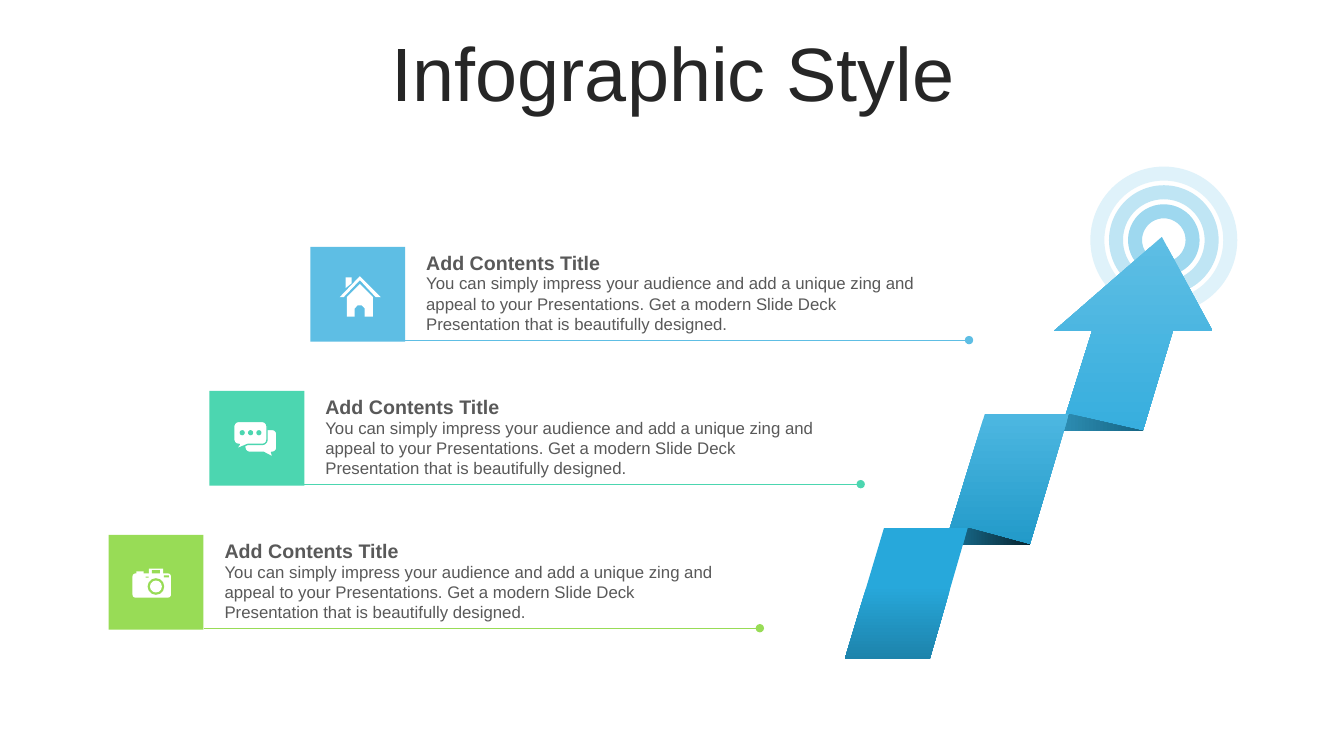
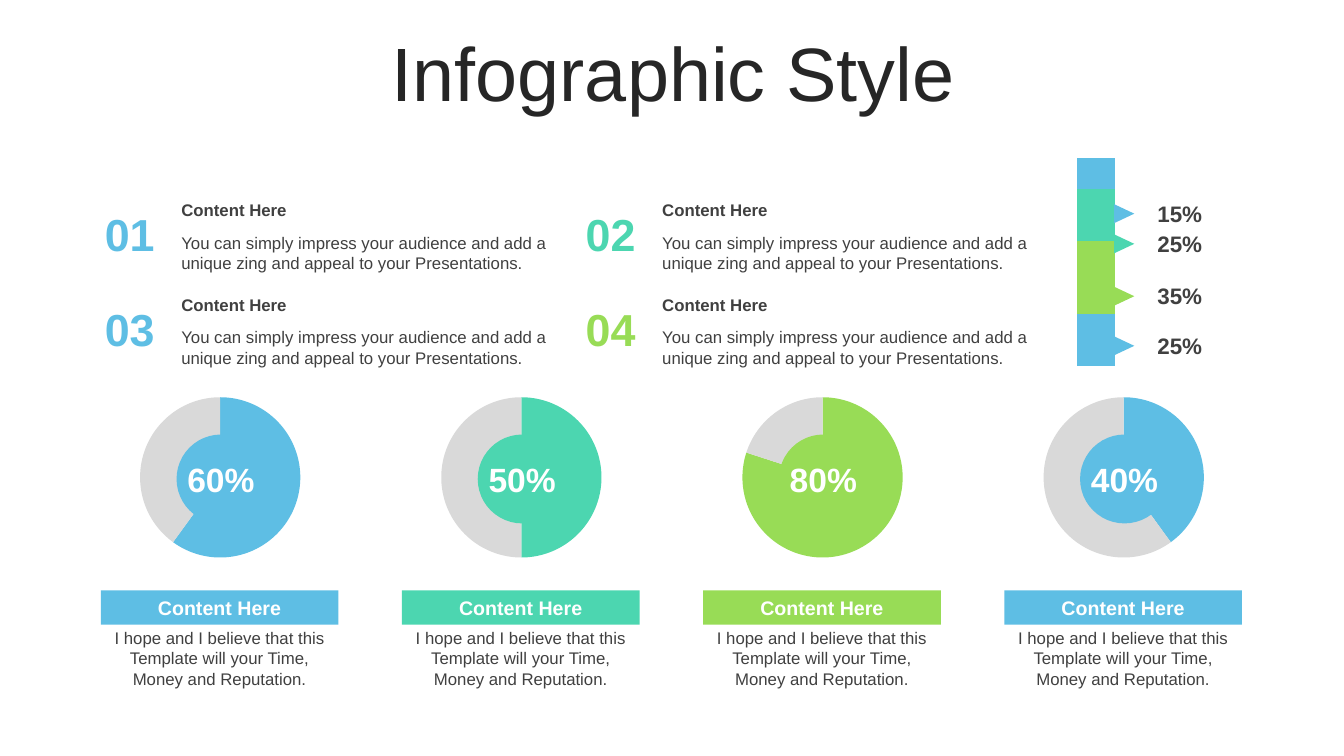
from collections.abc import Callable, Sequence
from dataclasses import dataclass
from typing import NamedTuple

from lxml.etree import SubElement
from pptx import Presentation
from pptx.chart.chart import Chart
from pptx.chart.data import CategoryChartData
from pptx.dml.color import RGBColor
from pptx.enum.chart import XL_CHART_TYPE as ChartType
from pptx.enum.shapes import MSO_CONNECTOR as Connector, MSO_SHAPE as Preset
from pptx.enum.text import MSO_ANCHOR as Anchor, MSO_AUTO_SIZE as AutoSize, PP_ALIGN as Align
from pptx.oxml.ns import qn
from pptx.shapes.autoshape import Shape
from pptx.slide import Slide
from pptx.util import Cm, Pt


def rgb(code: str) -> RGBColor:
    return RGBColor.from_string(code)


@dataclass(frozen=True)
class Theme:
    font: str = "Arial"
    blue: RGBColor = rgb("5EBEE4")
    teal: RGBColor = rgb("4CD6B0")
    green: RGBColor = rgb("98DC56")
    white: RGBColor = rgb("FFFFFF")
    rest: RGBColor = rgb("D9D9D9")
    black: RGBColor = rgb("000000")
    ink: RGBColor = rgb("262626")
    dark: RGBColor = rgb("404040")
    gray: RGBColor = rgb("595959")
    title: int = 54
    number: int = 32
    value: int = 24
    chart: int = 18
    percent: int = 16
    heading: int = 14
    body: int = 12


THEME = Theme()


class Box(NamedTuple):
    """A frame in centimetres."""
    left: float
    top: float
    width: float
    height: float

    def lengths(self) -> tuple[Cm, ...]:
        return tuple(Cm(length) for length in self)


@dataclass(frozen=True)
class TextStyle:
    size: int
    color: RGBColor
    bold: bool = False
    align: Align = Align.LEFT
    anchor: Anchor = Anchor.TOP


Point = tuple[float, float]
IconPainter = Callable[[Slide, float, float, RGBColor], None]


class Step(NamedTuple):
    color: RGBColor
    line_end: float
    icon: IconPainter


class Ribbon(NamedTuple):
    outline: list[Point]
    start: str
    end: str
    angle: int
    start_at: float = 0


class Share(NamedTuple):
    value: int
    percent: str
    color: RGBColor
    marker_top: float


class Gauge(NamedTuple):
    percent: int
    color: RGBColor


def write(shape: Shape, text: str, style: TextStyle) -> None:
    frame = shape.text_frame
    frame.text = text
    frame.vertical_anchor = style.anchor
    paragraph = frame.paragraphs[0]
    paragraph.alignment = style.align
    font = paragraph.font
    font.name, font.size, font.bold = THEME.font, Pt(style.size), style.bold
    font.color.rgb = style.color


def add_text(slide: Slide, box: Box, text: str, style: TextStyle) -> None:
    label = slide.shapes.add_textbox(*box.lengths())
    label.text_frame.word_wrap = True
    write(label, text, style)


def add_preset(slide: Slide, preset: Preset, box: Box, color: RGBColor) -> Shape:
    shape = slide.shapes.add_shape(preset, *box.lengths())
    shape.shadow.inherit = False
    shape.fill.solid()
    shape.fill.fore_color.rgb = color
    shape.line.fill.background()
    return shape


def add_outline(slide: Slide, contours: Sequence[Sequence[Point]]) -> Shape:
    """Draw closed polygons, given in centimetres, as one borderless shape."""
    paths = [[(Cm(x), Cm(y)) for x, y in contour] for contour in contours]
    builder = slide.shapes.build_freeform(*paths[0][0])
    for index, path in enumerate(paths):
        if index:
            builder.move_to(*path[0])
        builder.add_line_segments(path[1:], close=True)
    shape = builder.convert_to_shape()
    shape.shadow.inherit = False
    shape.line.fill.background()
    return shape


def add_titled_slide(prs: Presentation, title: str) -> Slide:
    slide = prs.slides.add_slide(prs.slide_layouts[5])
    heading = slide.shapes.title
    heading.left, heading.top, heading.width, heading.height = Box(0.89, 0.94, 32.16, 2).lengths()
    write(heading, title, TextStyle(THEME.title, THEME.ink, align=Align.CENTER, anchor=Anchor.MIDDLE))
    heading.text_frame.auto_size = AutoSize.NONE
    heading.text_frame.paragraphs[0].line_spacing = 0.9
    return slide


def paint_house(slide: Slide, left: float, top: float, background: RGBColor) -> None:
    walls = [(1.25, 0.94), (1.58, 1.27), (1.58, 1.76), (1.37, 1.76), (1.37, 1.55), (1.3, 1.48),
             (1.19, 1.48), (1.12, 1.55), (1.12, 1.76), (0.92, 1.76), (0.92, 1.27)]
    roof = [(1.25, 0.74), (1.78, 1.27), (1.65, 1.27), (1.25, 0.84), (0.84, 1.27), (0.74, 1.27)]
    chimney = [(0.89, 0.77), (1.04, 0.77), (1.04, 0.92), (0.89, 1.04)]
    house = add_outline(slide, [[(left + x, top + y) for x, y in part] for part in (walls, roof, chimney)])
    house.fill.solid()
    house.fill.fore_color.rgb = THEME.white


def paint_chat(slide: Slide, left: float, top: float, background: RGBColor) -> None:
    bubbles = [(Box(left + 0.89, top + 0.97, 0.81, 0.58), 0.38),
               (Box(left + 0.61, top + 0.77, 0.84, 0.58), -0.44)]
    for box, tail in bubbles:
        bubble = add_preset(slide, Preset.ROUNDED_RECTANGULAR_CALLOUT, box, THEME.white)
        bubble.adjustments[0], bubble.adjustments[1], bubble.adjustments[2] = tail, 0.72, 0.2
        bubble.line.color.rgb = background
        bubble.line.width = Pt(1)
    for index in range(3):
        dot = Box(left + 0.76 + 0.21 * index, top + 0.99, 0.13, 0.13)
        add_preset(slide, Preset.OVAL, dot, background)


def paint_camera(slide: Slide, left: float, top: float, background: RGBColor) -> None:
    parts = [
        (Preset.ROUNDED_RECTANGLE, Box(0.6, 0.97, 0.97, 0.61), THEME.white),
        (Preset.RECTANGLE, Box(1.01, 0.85, 0.36, 0.15), THEME.white),
        (Preset.RECTANGLE, Box(1.09, 0.89, 0.2, 0.08), background),
        (Preset.RECTANGLE, Box(0.7, 0.92, 0.18, 0.08), THEME.white),
        (Preset.RECTANGLE, Box(0.93, 1.05, 0.08, 0.03), background),
        (Preset.RECTANGLE, Box(1.39, 1.02, 0.13, 0.05), background),
        (Preset.OVAL, Box(0.98, 1.09, 0.42, 0.42), background),
        (Preset.OVAL, Box(1.04, 1.15, 0.3, 0.3), THEME.white),
    ]
    for preset, box, color in parts:
        place = box._replace(left=left + box.left, top=top + box.top)
        part = add_preset(slide, preset, place, color)
        if preset == Preset.ROUNDED_RECTANGLE:
            part.adjustments[0] = 0.12


def add_dotted_end_line(slide: Slide, start: float, end: float, y: float, color: RGBColor) -> None:
    rule = slide.shapes.add_connector(Connector.STRAIGHT, Cm(start), Cm(y), Cm(end), Cm(y))
    rule.line.color.rgb = color
    rule.line.width = Pt(0.5)
    properties = rule.element.spPr
    SubElement(properties.find(qn("a:ln")), qn("a:tailEnd"), type="oval")
    SubElement(properties, qn("a:effectLst"))


def add_step(slide: Slide, index: int, step: Step) -> None:
    side = 2.39
    left, top = 7.82 - 2.54 * index, 6.22 + 3.63 * index
    add_dotted_end_line(slide, left + side, step.line_end, top + 2.35, step.color)
    add_text(slide, Box(left + 2.67, top + 0.54, 12.95, 1.8),
             "You can simply impress your audience and add a unique zing and appeal to your "
             "Presentations. Get a modern Slide Deck Presentation that is beautifully designed.",
             TextStyle(THEME.body, THEME.gray))
    add_text(slide, Box(left + 2.67, top - 0.02, 12.95, 0.86), "Add Contents Title",
             TextStyle(THEME.heading, THEME.gray, bold=True))
    add_preset(slide, Preset.RECTANGLE, Box(left, top, side, side), step.color)
    step.icon(slide, left, top, step.color)


def add_target(slide: Slide) -> None:
    for diameter, color in ((3.35, "DFF2FA"), (2.41, "BFE5F4"), (1.45, "9ED8EF")):
        box = Box(29.33 - diameter / 2, 6.05 - diameter / 2, diameter, diameter)
        ring = add_preset(slide, Preset.OVAL, box, THEME.white)
        ring.fill.background()
        ring.line.color.rgb = rgb(color)
        ring.line.width = Pt(10)


def add_ribbon(slide: Slide, ribbon: Ribbon) -> None:
    fill = add_outline(slide, [ribbon.outline]).fill
    fill.gradient()
    fill.gradient_angle = ribbon.angle
    first, last = fill.gradient_stops
    first.color.rgb, first.position = rgb(ribbon.start), ribbon.start_at
    last.color.rgb = rgb(ribbon.end)


def build_arrow_slide(prs: Presentation) -> None:
    slide = add_titled_slide(prs, "Infographic Style")
    add_target(slide)
    down, across = 270, 0
    ribbons = [
        Ribbon([(29.28, 5.97), (30.56, 8.34), (29.56, 8.34), (28.8, 10.86), (26.73, 10.86),
                (27.52, 8.34), (26.56, 8.34)], "5EBEE4", "37AEDE", down),
        Ribbon([(26.94, 10.43), (28.8, 10.86), (26.81, 10.86)], "2C8CB1", "166584", across),
        Ribbon([(24.82, 10.43), (26.94, 10.43), (25.95, 13.73), (23.81, 13.73)],
               "4DB7E1", "229AC9", down),
        Ribbon([(24.39, 13.3), (25.95, 13.73), (24.27, 13.73)], "166483", "08242F", across),
        Ribbon([(22.28, 13.3), (24.39, 13.3), (23.43, 16.61), (21.29, 16.61)],
               "27A8DB", "1D83AB", down, 0.44),
    ]
    for ribbon in ribbons:
        add_ribbon(slide, ribbon)
    steps = [Step(THEME.blue, 24.42, paint_house), Step(THEME.teal, 21.69, paint_chat),
             Step(THEME.green, 19.15, paint_camera)]
    for index, step in enumerate(steps):
        add_step(slide, index, step)


def add_plain_chart(slide: Slide, kind: ChartType, box: Box, data: CategoryChartData, plot: Box) -> Chart:
    """Add a chart without title or legend; plot holds fractions of its frame."""
    chart = slide.shapes.add_chart(kind, *box.lengths(), data).chart
    chart.has_title = chart.has_legend = False
    chart.font.name, chart.font.size = THEME.font, Pt(THEME.chart)
    chart.font.color.rgb = THEME.black
    area = chart.element.find(".//" + qn("c:plotArea"))
    layout = area.find(qn("c:layout"))
    if layout is None:
        layout = SubElement(area, qn("c:layout"))
        area.insert(0, layout)
    manual = SubElement(layout, qn("c:manualLayout"))
    settings = {"layoutTarget": "inner", "xMode": "edge", "yMode": "edge",
                "x": plot.left, "y": plot.top, "w": plot.width, "h": plot.height}
    for tag, setting in settings.items():
        SubElement(manual, qn(f"c:{tag}"), val=str(setting))
    return chart


def add_share_column(slide: Slide, shares: Sequence[Share]) -> None:
    data = CategoryChartData()
    data.categories = ["1"]
    for number, share in enumerate(shares, 1):
        data.add_series(f"Series {number}", [share.value])
    chart = add_plain_chart(slide, ChartType.COLUMN_STACKED, Box(26.19, 2.77, 2.84, 6.58), data,
                            Box(0.05, 0.03, 0.91, 0.95))
    plot = chart.plots[0]
    plot.gap_width, plot.overlap, plot.vary_by_categories = 170, 100, False
    axis = chart.value_axis
    axis.has_major_gridlines = False
    axis.minimum_scale, axis.maximum_scale = 0, 340
    axis.visible = chart.category_axis.visible = False
    percent_style = TextStyle(THEME.percent, THEME.dark, bold=True, align=Align.CENTER)
    for series, share in zip(plot.series, shares):
        series.format.fill.solid()
        series.format.fill.fore_color.rgb = share.color
        marker = Box(28.09, share.marker_top, 0.48, 0.51)
        add_preset(slide, Preset.ISOSCELES_TRIANGLE, marker, share.color).rotation = 90
        add_text(slide, Box(28.6, share.marker_top - 0.22, 2.26, 0.94), share.percent, percent_style)


def add_numbered_point(slide: Slide, index: int, color: RGBColor) -> None:
    row, column = divmod(index, 2)
    left, top = 2.24 + 12.12 * column, 4.9 + 2.39 * row
    add_text(slide, Box(left, top + 0.18, 2.06, 1.63), f"{index + 1:02}",
             TextStyle(THEME.number, color, True, Align.CENTER, Anchor.MIDDLE))
    add_text(slide, Box(left + 2.08, top, 10.39, 0.76), "Content Here",
             TextStyle(THEME.body, THEME.dark, bold=True, anchor=Anchor.MIDDLE))
    add_text(slide, Box(left + 2.08, top + 0.83, 10.39, 1.27),
             "You can simply impress your audience and add a unique zing and appeal to your Presentations.",
             TextStyle(THEME.body, THEME.dark))


def add_gauge(slide: Slide, index: int, gauge: Gauge) -> None:
    left = 2.54 + 7.59 * index
    data = CategoryChartData()
    data.categories = ["1", "2"]
    data.add_series("Series 1", [gauge.percent, 100 - gauge.percent])
    chart = add_plain_chart(slide, ChartType.DOUGHNUT, Box(left + 0.99, 10.01, 4.04, 4.19), data,
                            Box(0, 0, 1, 0.965))
    chart.plots[0].vary_by_categories = True
    chart.element.find(".//" + qn("c:holeSize")).set("val", "75")
    for number, color in enumerate((gauge.color, THEME.rest)):
        fill = chart.plots[0].series[0].points[number].format.fill
        fill.solid()
        fill.fore_color.rgb = color
    core = add_preset(slide, Preset.OVAL, Box(left + 1.91, 10.95, 2.24, 2.24), gauge.color)
    core.text_frame.word_wrap = False
    write(core, f"{gauge.percent}%", TextStyle(THEME.value, THEME.white, True, Align.CENTER, Anchor.MIDDLE))
    banner = add_preset(slide, Preset.RECTANGLE, Box(left, 14.88, 5.99, 0.86), gauge.color)
    write(banner, "Content Here", TextStyle(THEME.heading, THEME.white, True, Align.CENTER, Anchor.MIDDLE))
    add_text(slide, Box(left, 15.7, 5.99, 1.8),
             "I hope and I believe that this Template will your Time, Money and Reputation.",
             TextStyle(THEME.body, THEME.dark, align=Align.CENTER))


def build_chart_slide(prs: Presentation) -> None:
    slide = add_titled_slide(prs, "Infographic Style")
    add_share_column(slide, [
        Share(71, "25%", THEME.blue, 8.46), Share(100, "35%", THEME.green, 7.21),
        Share(71, "25%", THEME.teal, 5.89), Share(43, "15%", THEME.blue, 5.13)])
    for index, color in enumerate((THEME.blue, THEME.teal, THEME.blue, THEME.green)):
        add_numbered_point(slide, index, color)
    gauges = [Gauge(60, THEME.blue), Gauge(50, THEME.teal), Gauge(80, THEME.green), Gauge(40, THEME.blue)]
    for index, gauge in enumerate(gauges):
        add_gauge(slide, index, gauge)


def main() -> None:
    prs = Presentation()
    prs.slide_width, prs.slide_height = Cm(33.87), Cm(19.05)
    build_arrow_slide(prs)
    build_chart_slide(prs)
    prs.save("out.pptx")


if __name__ == "__main__":
    main()
